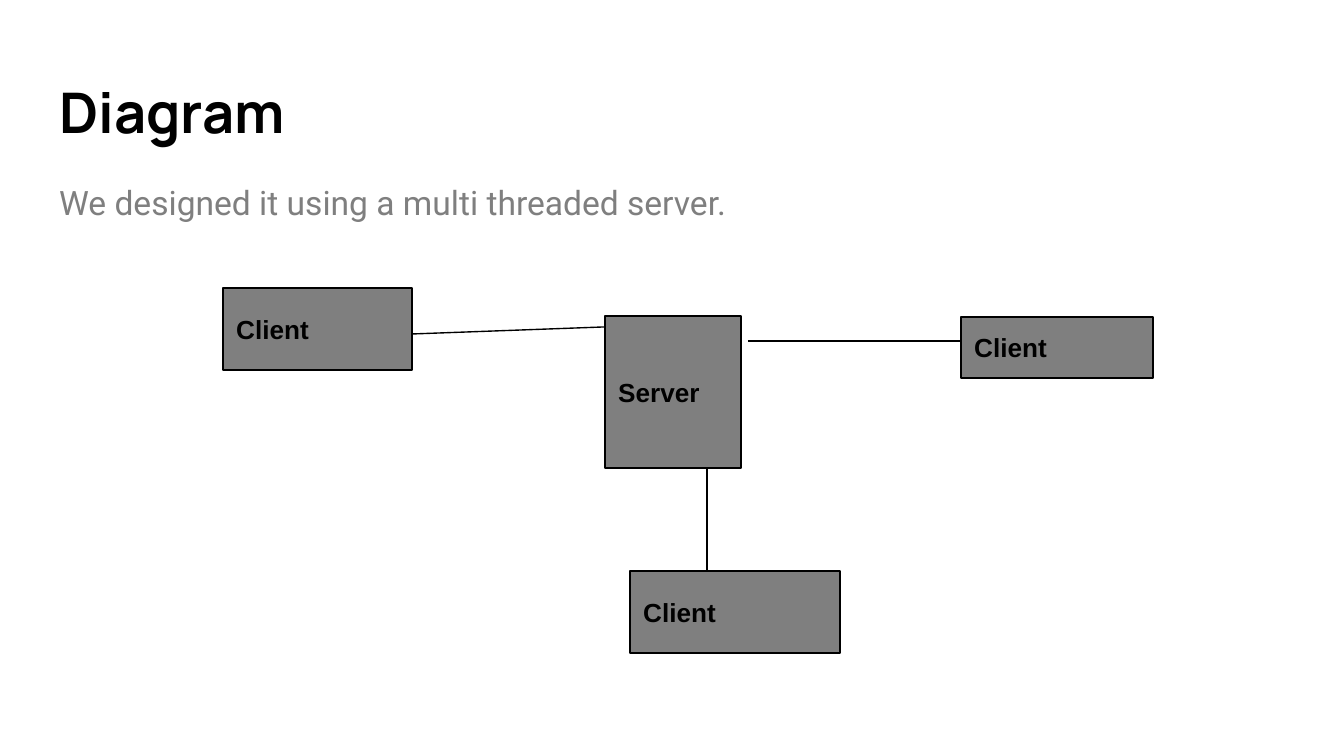
import pptx
import pptx.dml.color
import pptx.enum.shapes
import pptx.enum.text
import pptx.oxml.ns
import pptx.util
from lxml import etree

EMU_PER_PX = 914400 / 134.4
BLACK, GRAY = "000000", "7F7F7F"
TOP = pptx.enum.text.MSO_ANCHOR.TOP
MIDDLE = pptx.enum.text.MSO_ANCHOR.MIDDLE


def px(*lengths):
    """Turn px lengths into a list of EMU lengths."""
    return [pptx.util.Emu(round(n * EMU_PER_PX)) for n in lengths]


def color(hex_string):
    return pptx.dml.color.RGBColor.from_string(hex_string)


class Deck:
    """Holds the presentation, its current slide and the diagram's style."""

    def __init__(self, width, height):
        self.prs = pptx.Presentation()
        self.prs.slide_width, self.prs.slide_height = px(width, height)
        self.line_width = pptx.util.Pt(0.75)
        self.inset = pptx.util.Inches(0.1)

    def add_slide(self):
        self.slide = self.prs.slides.add_slide(self.prs.slide_layouts[5])
        fill = self.slide.background.fill
        fill.solid()
        fill.fore_color.rgb = color("FFFFFF")

    def set_text(self, sp, text, font, size, hex_string, bold, anchor):
        tf = sp.text_frame
        tf.word_wrap = True
        tf.auto_size = pptx.enum.text.MSO_AUTO_SIZE.NONE
        tf.vertical_anchor = anchor
        tf.margin_left = tf.margin_right = self.inset
        tf.margin_top = tf.margin_bottom = self.inset
        p = tf.paragraphs[0]
        p.alignment = pptx.enum.text.PP_ALIGN.LEFT
        r = p.add_run()
        r.text = text
        r.font.name = font
        r.font.size = pptx.util.Pt(size)
        r.font.bold = bold
        r.font.color.rgb = color(hex_string)

    def title(self, text, *box):
        sp = self.slide.shapes.title
        sp.left, sp.top, sp.width, sp.height = px(*box)
        self.set_text(sp, text, "Manrope", 30, BLACK, True, MIDDLE)

    def body(self, text, *box):
        sp = self.slide.shapes.add_textbox(*px(*box))
        self.set_text(sp, text, "Roboto", 18, GRAY, False, TOP)

    def node(self, text, *box):
        sp = self.slide.shapes.add_shape(
            pptx.enum.shapes.MSO_SHAPE.RECTANGLE, *px(*box))
        sp.shadow.inherit = False
        sp.fill.solid()
        sp.fill.fore_color.rgb = color(GRAY)
        self.outline(sp)
        self.set_text(sp, text, "Arial", 14, BLACK, True, MIDDLE)

    def link(self, *ends):
        line = self.slide.shapes.add_connector(
            pptx.enum.shapes.MSO_CONNECTOR.STRAIGHT, *px(*ends))
        self.outline(line)
        etree.SubElement(line._element.spPr, pptx.oxml.ns.qn("a:effectLst"))

    def outline(self, sp):
        sp.line.color.rgb = color(BLACK)
        sp.line.width = self.line_width


def main():
    deck = Deck(1344, 756)
    deck.add_slide()
    deck.title("Diagram", 46, 66, 1253, 91)
    deck.body("We designed it using a multi threaded server.",
              46, 169, 1253, 503)

    deck.node("Server", 605, 316, 136, 152)
    for ends in [(604, 327, 412, 334),
                 (748, 341, 965, 341),
                 (707, 469, 707, 585)]:
        deck.link(*ends)
    for box in [(223, 288, 189, 82),
                (961, 317, 192, 61),
                (630, 571, 210, 82)]:
        deck.node("Client", *box)

    deck.prs.save("out.pptx")


if __name__ == "__main__":
    main()
